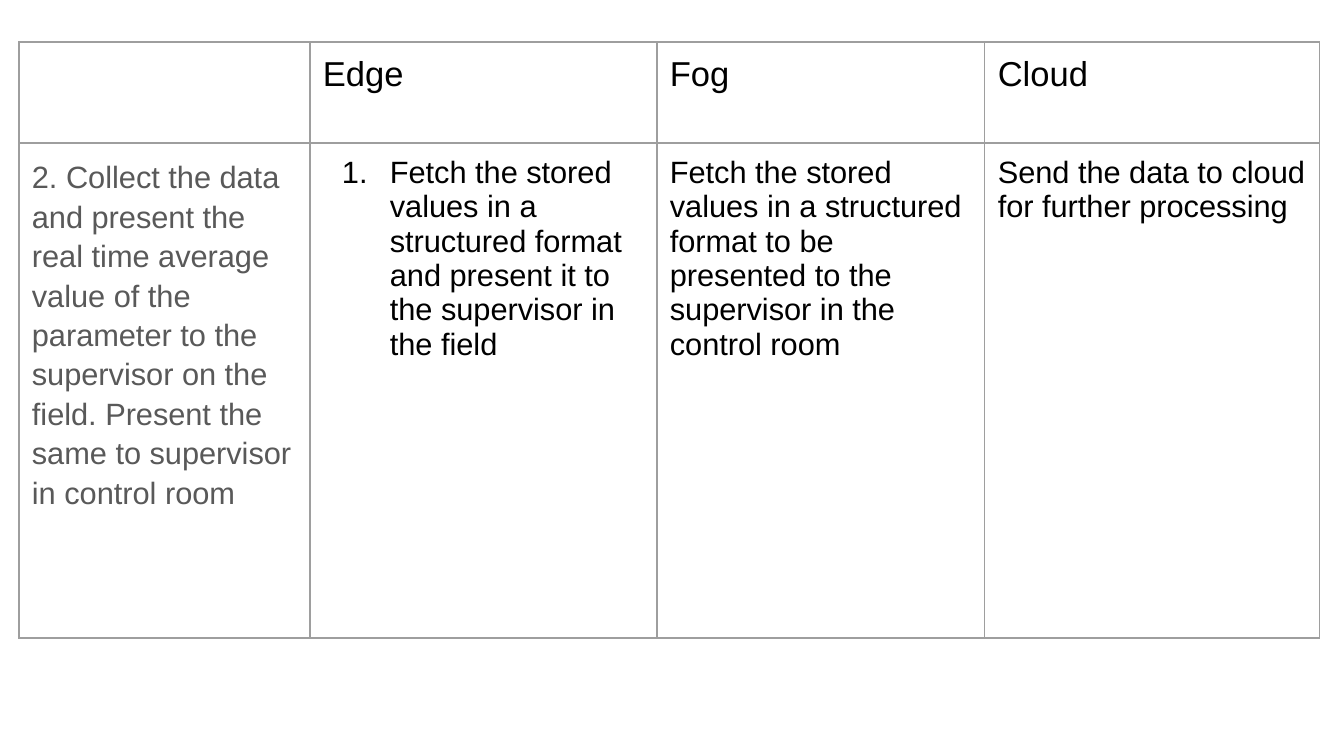
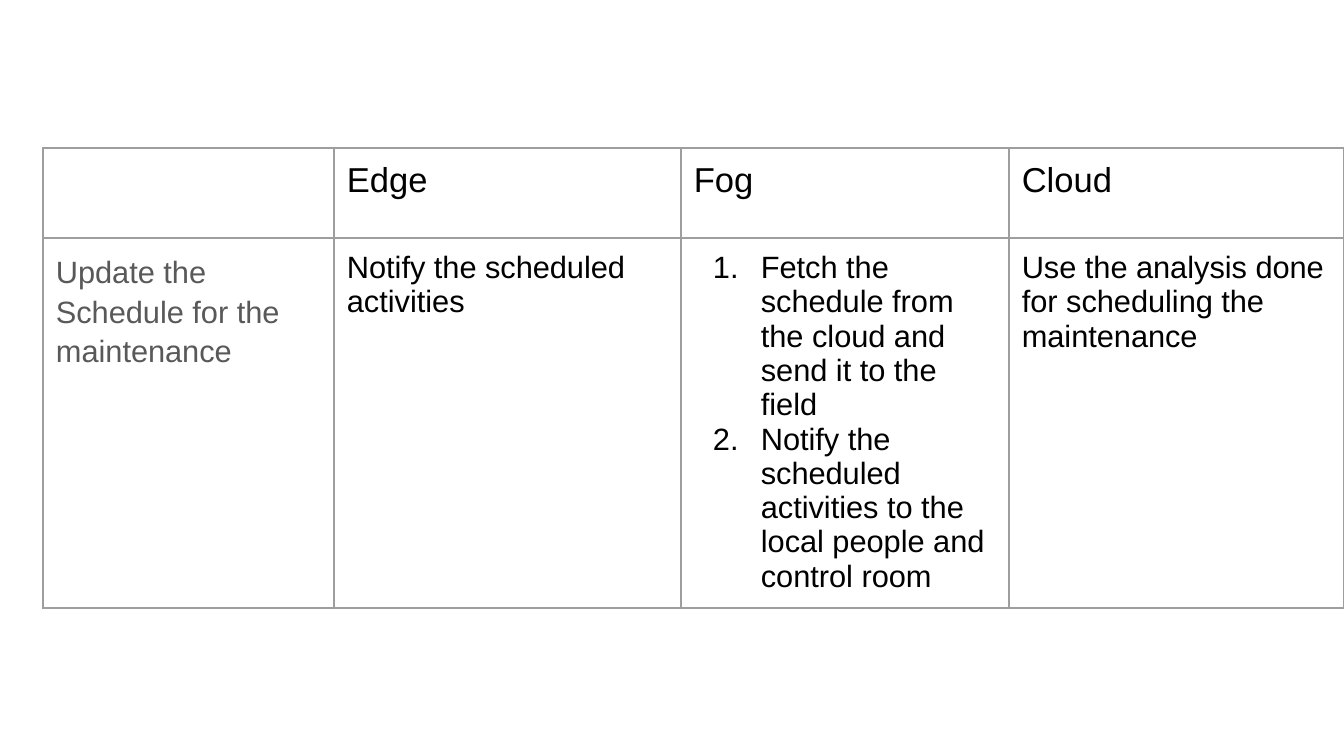
import dataclasses

import pptx
import pptx.dml.color
import pptx.oxml
import pptx.oxml.ns
import pptx.util
from lxml import etree

SLIDE_WIDTH, SLIDE_HEIGHT = 1344, 756
EMU_PER_PX = 9144000 / SLIDE_WIDTH


@dataclasses.dataclass(frozen=True)
class Theme:
    font: str = "Arial"
    text: str = "000000"
    task: str = "595959"
    border: str = "9E9E9E"
    background: str = "FFFFFF"
    heading_size: float = 18.5
    body_size: float = 16.5
    border_width: float = 0.75
    task_spacing: float = 1.15


THEME = Theme()

# Layout shared by both tables
COLUMN_WIDTHS = (291, 347, 328, 335)
CELL_MARGIN = 13
LIST_INDENT, LIST_HANGING = 67, 48
TIERS = ("Edge", "Fog", "Cloud")


def px(length):
    return pptx.util.Emu(round(length * EMU_PER_PX))


def rgb(value):
    return pptx.dml.color.RGBColor.from_string(value)


def add_child(parent, tag, **attributes):
    child = etree.SubElement(parent, pptx.oxml.ns.qn(tag))
    for name, value in attributes.items():
        child.set(name, str(value))
    return child


def number_paragraph(paragraph):
    properties = paragraph._p.get_or_add_pPr()
    properties.set("marL", str(px(LIST_INDENT)))
    properties.set("indent", str(-px(LIST_HANGING)))
    add_child(add_child(properties, "a:buClr"), "a:srgbClr", val=THEME.text)
    add_child(properties, "a:buFont", typeface=THEME.font)
    add_child(properties, "a:buAutoNum", type="arabicPeriod")


def write(frame, text, size=THEME.body_size, color=THEME.text,
          spacing=None, numbered=False):
    """Fill a text frame, one paragraph for each line of text."""
    for index, line in enumerate(text.split("\n")):
        paragraph = frame.paragraphs[0] if index == 0 else frame.add_paragraph()
        if numbered:
            number_paragraph(paragraph)
        if spacing:
            paragraph.line_spacing = spacing
        run = paragraph.add_run()
        run.text = line
        run.font.name = THEME.font
        run.font.size = pptx.util.Pt(size)
        run.font.color.rgb = rgb(color)


def style_cell(cell):
    cell.margin_left = cell.margin_right = px(CELL_MARGIN)
    cell.margin_top = cell.margin_bottom = px(CELL_MARGIN)
    properties = cell._tc.get_or_add_tcPr()
    for side in ("a:lnL", "a:lnR", "a:lnT", "a:lnB"):
        line = add_child(properties, side, w=pptx.util.Pt(THEME.border_width))
        add_child(add_child(line, "a:solidFill"), "a:srgbClr", val=THEME.border)
    cell.fill.background()


def add_tier_table(slide, left, top, row_heights, task, duties):
    """Show what each tier does for one task; a list of duties is numbered."""
    frame = slide.shapes.add_table(
        len(row_heights), len(COLUMN_WIDTHS), px(left), px(top),
        px(sum(COLUMN_WIDTHS)), px(sum(row_heights)))
    table = frame.table
    table.first_row = table.horz_banding = False
    for column, width in zip(table.columns, COLUMN_WIDTHS):
        column.width = px(width)
    for row, height in zip(table.rows, row_heights):
        row.height = px(height)
    for cell in table.iter_cells():
        style_cell(cell)

    # Task in the first column, tiers in the others
    write(table.cell(1, 0).text_frame, task, color=THEME.task,
          spacing=THEME.task_spacing)
    for column, (tier, duty) in enumerate(zip(TIERS, duties), start=1):
        write(table.cell(0, column).text_frame, tier, size=THEME.heading_size)
        numbered = isinstance(duty, list)
        write(table.cell(1, column).text_frame,
              "\n".join(duty) if numbered else duty, numbered=numbered)


def add_slide(deck):
    slide = deck.slides.add_slide(deck.slide_layouts[6])
    slide.background.fill.solid()
    slide.background.fill.fore_color.rgb = rgb(THEME.background)
    return slide


def main():
    deck = pptx.Presentation()
    deck.slide_width, deck.slide_height = px(SLIDE_WIDTH), px(SLIDE_HEIGHT)

    # Collecting and presenting data
    add_tier_table(
        add_slide(deck), 19, 42, (101, 495),
        "2. Collect the data and present the real time average value of the "
        "parameter to the supervisor on the field. Present the same to "
        "supervisor in control room",
        (["Fetch the stored values in a structured format and present it to "
          "the supervisor in the field"],
         "Fetch the stored values in a structured format to be presented to "
         "the supervisor in the control room",
         "Send the data to cloud for further processing"))

    # Scheduling maintenance
    add_tier_table(
        add_slide(deck), 43, 148, (90, 370),
        "Update the Schedule for the maintenance",
        ("Notify the scheduled activities",
         ["Fetch the schedule from the cloud and send it to the field",
          "Notify the scheduled activities to the local people and "
          "control room"],
         "Use the analysis done for scheduling the maintenance"))

    deck.save("out.pptx")


if __name__ == "__main__":
    main()
